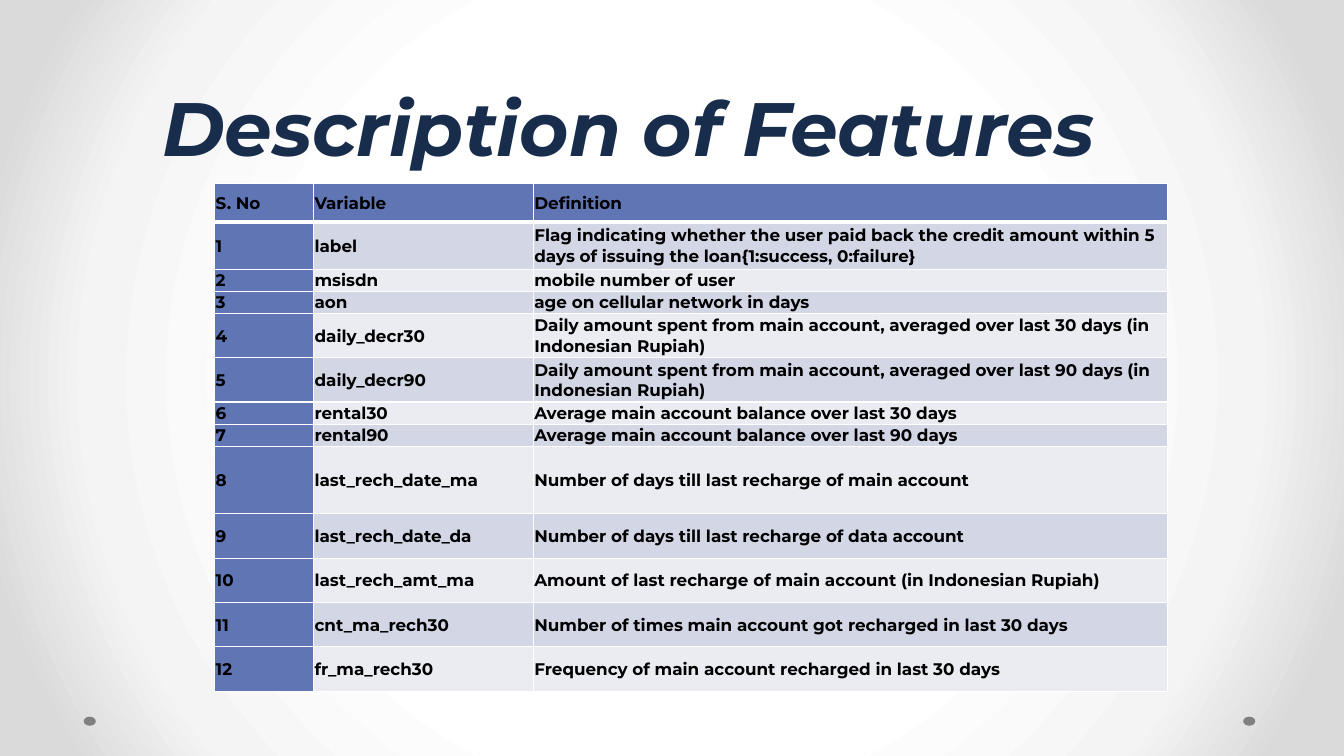
"""Build a slide that lists the features of a loan data set in a table."""
from dataclasses import dataclass

from lxml import etree
from pptx import Presentation
from pptx.dml.color import RGBColor
from pptx.enum.shapes import MSO_SHAPE
from pptx.enum.text import MSO_ANCHOR, MSO_AUTO_SIZE, PP_ALIGN
from pptx.oxml.ns import qn
from pptx.util import Inches, Pt

ELLIPSE = MSO_SHAPE.OVAL
MIDDLE, BOTTOM = MSO_ANCHOR.MIDDLE, MSO_ANCHOR.BOTTOM
CENTER = PP_ALIGN.CENTER
NO_AUTOFIT = MSO_AUTO_SIZE.NONE
TITLE_ONLY = 5

COLUMN_WIDTHS = (0.98, 2.18, 6.29)
HEADER = ("S. No", "Variable", "Definition")
HEADER_HEIGHT = 0.38
FEATURES = (
    ("label", "Flag indicating whether the user paid back the credit amount within 5 "
              "days of issuing the loan{1:success, 0:failure}", 0.47),
    ("msisdn", "mobile number of user", 0.22),
    ("aon", "age on cellular network in days", 0.22),
    ("daily_decr30", "Daily amount spent from main account, averaged over last 30 days "
                     "(in Indonesian Rupiah)", 0.44),
    ("daily_decr90", "Daily amount spent from main account, averaged over last 90 days "
                     "(in Indonesian Rupiah)", 0.44),
    ("rental30", "Average main account balance over last 30 days", 0.22),
    ("rental90", "Average main account balance over last 90 days", 0.22),
    ("last_rech_date_ma", "Number of days till last recharge of main account", 0.67),
    ("last_rech_date_da", "Number of days till last recharge of data account", 0.44),
    ("last_rech_amt_ma", "Amount of last recharge of main account (in Indonesian Rupiah)", 0.44),
    ("cnt_ma_rech30", "Number of times main account got recharged in last 30 days", 0.44),
    ("fr_ma_rech30", "Frequency of main account recharged in last 30 days", 0.44),
)


@dataclass(frozen=True)
class Theme:
    font: str = "Montserrat"
    title_size: int = 54
    title_spacing: int = 58
    table_size: int = 12
    title: str = "182C4B"
    text: str = "000000"
    accent: str = "6076B4"
    bands: tuple = ("D2D6E5", "EAECF2")
    rule: str = "FFFFFF"
    dot: str = "808080"
    backdrop: tuple = ((50, "FFFFFF"), (76, "F4F4F4"), (92, "DADADA"))


class SlideBuilder:
    def __init__(self, page, theme):
        self.page = page
        self.theme = theme

    def backdrop(self):
        fill = self.page.background.fill
        fill.gradient()
        gradient = self.page.background._cSld.find(".//" + qn("a:gradFill"))
        for child in list(gradient):
            gradient.remove(child)
        stops = etree.SubElement(gradient, qn("a:gsLst"))
        for percent, color in self.theme.backdrop:
            stop = etree.SubElement(stops, qn("a:gs"), pos=str(percent * 1000))
            etree.SubElement(stop, qn("a:srgbClr"), val=color)
        circle = etree.SubElement(gradient, qn("a:path"), path="circle")
        etree.SubElement(circle, qn("a:fillToRect"), l="50000", t="50000", r="50000", b="50000")

    def dot(self, left, top, width, height):
        dot = self.page.shapes.add_shape(
            ELLIPSE, Inches(left), Inches(top), Inches(width), Inches(height))
        dot.shadow.inherit = False
        dot.fill.solid()
        dot.fill.fore_color.rgb = RGBColor.from_string(self.theme.dot)
        dot.line.fill.background()

    def style(self, para, size, color):
        font = para.font
        font.name = self.theme.font
        font.size = Pt(size)
        font.bold = True
        font.color.rgb = RGBColor.from_string(color)

    def title(self, text, left, top, width, height):
        box = self.page.shapes.title
        box.left, box.top = Inches(left), Inches(top)
        box.width, box.height = Inches(width), Inches(height)
        frame = box.text_frame
        frame.text = text
        frame.auto_size = NO_AUTOFIT
        frame.vertical_anchor = BOTTOM
        para = frame.paragraphs[0]
        para.alignment = CENTER
        para.line_spacing = Pt(self.theme.title_spacing)
        self.style(para, self.theme.title_size, self.theme.title)
        para.font.italic = True

    def border(self, cell, side, points):
        line = etree.SubElement(
            cell._tc.get_or_add_tcPr(), qn("a:ln" + side), w=str(Pt(points)))
        fill = etree.SubElement(line, qn("a:solidFill"))
        etree.SubElement(fill, qn("a:srgbClr"), val=self.theme.rule)

    def cell(self, cell, text, row, column):
        for side in "LRTB":
            under_header = (row, side) in ((0, "B"), (1, "T"))
            self.border(cell, side, 3 if under_header else 1)
        color = self.theme.accent if row == 0 or column == 0 else self.theme.bands[(row - 1) % 2]
        cell.fill.solid()
        cell.fill.fore_color.rgb = RGBColor.from_string(color)
        cell.margin_left = cell.margin_right = cell.margin_top = Inches(0.01)
        cell.margin_bottom = 0
        cell.vertical_anchor = MIDDLE
        cell.text = text
        self.style(cell.text_frame.paragraphs[0], self.theme.table_size, self.theme.text)

    def table(self, rows, heights, widths, left, top):
        table = self.page.shapes.add_table(
            len(rows), len(widths), Inches(left), Inches(top),
            Inches(sum(widths)), Inches(sum(heights))).table
        for column, width in zip(table.columns, widths):
            column.width = Inches(width)
        for row, (texts, height) in enumerate(zip(rows, heights)):
            table.rows[row].height = Inches(height)
            for column, text in enumerate(texts):
                self.cell(table.cell(row, column), text, row, column)


def main():
    deck = Presentation()
    deck.slide_width, deck.slide_height = Inches(13.33), Inches(7.5)
    page = deck.slides.add_slide(deck.slide_layouts[TITLE_ONLY])
    builder = SlideBuilder(page, Theme())
    builder.backdrop()
    for left in (12.33, 0.83):
        builder.dot(left, 7.11, 0.12, 0.09)
    builder.title("Description of Features", 0.23, 0, 12, 1.75)
    rows = [HEADER]
    heights = [HEADER_HEIGHT]
    for number, (variable, definition, height) in enumerate(FEATURES, 1):
        rows.append((str(number), variable, definition))
        heights.append(height)
    builder.table(rows, heights, COLUMN_WIDTHS, 2.13, 1.82)
    deck.save("out.pptx")


if __name__ == "__main__":
    main()
